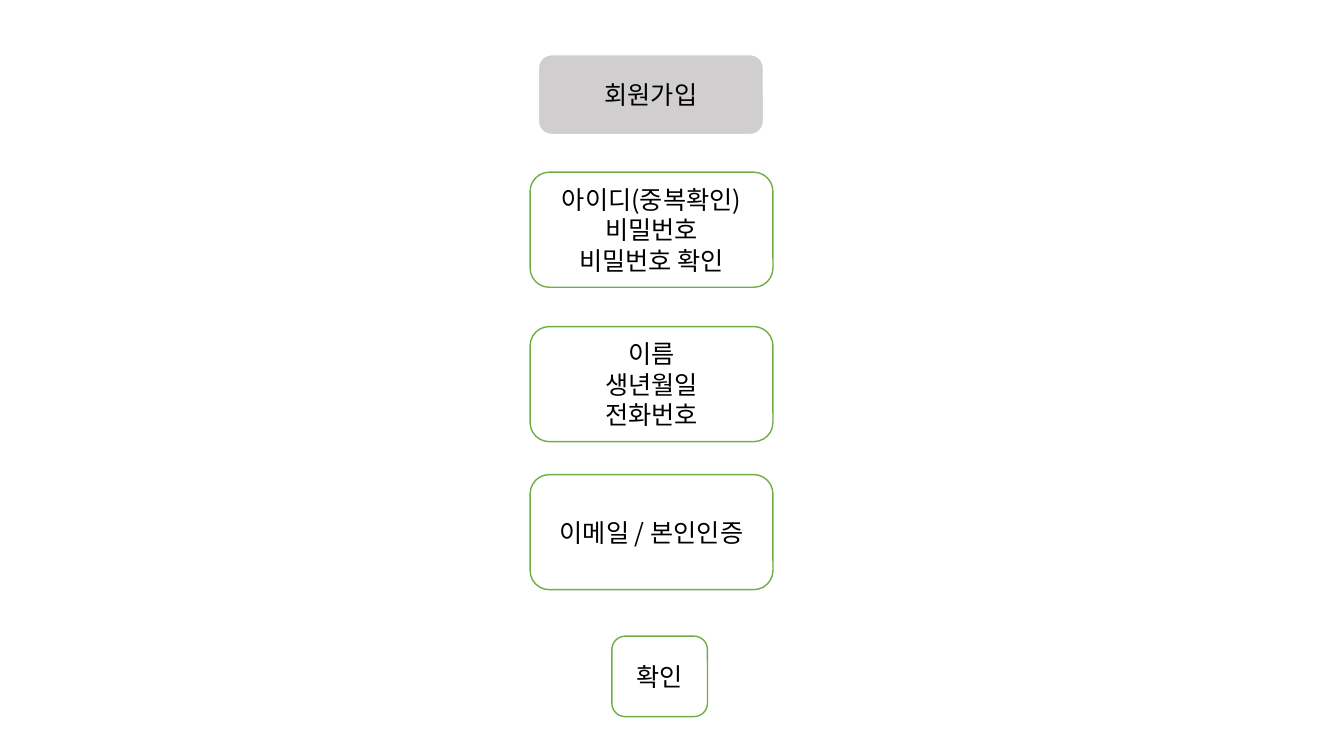
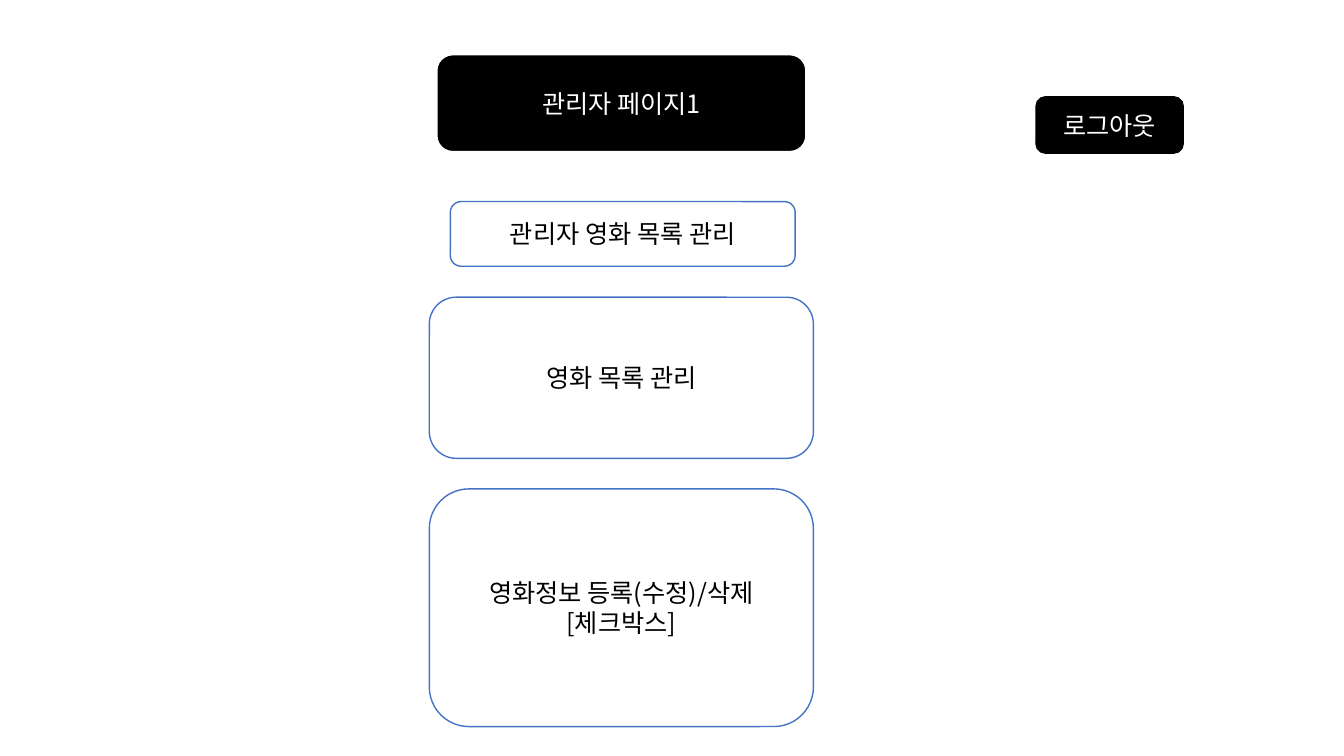
from pptx import Presentation
from pptx.dml.color import RGBColor
from pptx.enum.shapes import MSO_SHAPE
from pptx.enum.text import MSO_ANCHOR, PP_ALIGN
from pptx.oxml.ns import qn
from pptx.util import Cm, Pt
from lxml.etree import SubElement

BLACK = RGBColor(0x00, 0x00, 0x00)
WHITE = RGBColor(0xFF, 0xFF, 0xFF)
GRAY = RGBColor(0xD0, 0xCE, 0xCE)
GREEN = RGBColor(0x70, 0xAD, 0x47)
BLUE = RGBColor(0x44, 0x72, 0xC4)

FONT = "Noto Sans CJK KR"
BLANK_LAYOUT = 6
TITLE_TOP = 1.37

# Box styles: fill, outline, outline width in points, text colour
SIGNUP_TITLE = (GRAY, WHITE, 1.5, BLACK)
SIGNUP_STEP = (WHITE, GREEN, 1, BLACK)
ADMIN_TITLE = (BLACK, WHITE, 1.5, WHITE)
ADMIN_STEP = (WHITE, BLUE, 1, BLACK)
ADMIN_BUTTON = (BLACK, BLACK, 1, WHITE)


def write_line(paragraph, text, color):
    paragraph.alignment = PP_ALIGN.CENTER
    run = paragraph.add_run()
    run.text = text
    for name, value in {"name": FONT, "size": Pt(18)}.items():
        setattr(run.font, name, value)
    run.font.color.rgb = color
    # Hangul takes its typeface from the East Asian font
    SubElement(run._r.get_or_add_rPr(), qn("a:ea"), typeface=FONT)


def add_box(slide, position, style, *lines):
    """Add a rounded box; position is left, top, width, height in cm."""
    fill, outline, outline_width, text_color = style
    shape = slide.shapes.add_shape(
        MSO_SHAPE.ROUNDED_RECTANGLE, *(Cm(length) for length in position))
    shape.shadow.inherit = False
    shape.fill.solid()
    shape.fill.fore_color.rgb = fill
    shape.line.color.rgb = outline
    shape.line.width = Pt(outline_width)

    frame = shape.text_frame
    frame.word_wrap = True
    frame.vertical_anchor = MSO_ANCHOR.MIDDLE
    for index, text in enumerate(lines):
        paragraph = frame.add_paragraph() if index else frame.paragraphs[0]
        write_line(paragraph, text, text_color)


def add_blank_slide(presentation):
    return presentation.slides.add_slide(presentation.slide_layouts[BLANK_LAYOUT])


def build_signup(slide):
    add_box(slide, (13.56, TITLE_TOP, 5.69, 2.03), SIGNUP_TITLE, "회원가입")
    steps = [
        (4.34, ["아이디(중복확인)", "비밀번호", "비밀번호 확인"]),
        (8.23, ["이름", "생년월일", "전화번호"]),
        (11.96, ["이메일 / 본인인증"]),
    ]
    for top, lines in steps:
        add_box(slide, (13.36, top, 6.12, 2.9), SIGNUP_STEP, *lines)
    add_box(slide, (15.42, 16.03, 2.41, 2.03), SIGNUP_STEP, "확인")


def build_admin(slide):
    add_box(slide, (11, TITLE_TOP, 9.32, 2.46), ADMIN_TITLE, "관리자 페이지1")
    add_box(slide, (26.11, 2.44, 3.71, 1.42), ADMIN_BUTTON, "로그아웃")
    add_box(slide, (11.35, 5.08, 8.69, 1.63), ADMIN_STEP, "관리자 영화 목록 관리")
    panels = [
        (7.49, 4.06, ["영화 목록 관리"]),
        (12.32, 5.99, ["영화정보 등록(수정)/삭제", "[체크박스]"]),
    ]
    for top, height, lines in panels:
        add_box(slide, (10.82, top, 9.68, height), ADMIN_STEP, *lines)


def main():
    presentation = Presentation()
    presentation.slide_width = Cm(33.87)
    presentation.slide_height = Cm(19.05)
    for build in (build_signup, build_admin):
        build(add_blank_slide(presentation))
    presentation.save("out.pptx")


if __name__ == "__main__":
    main()
